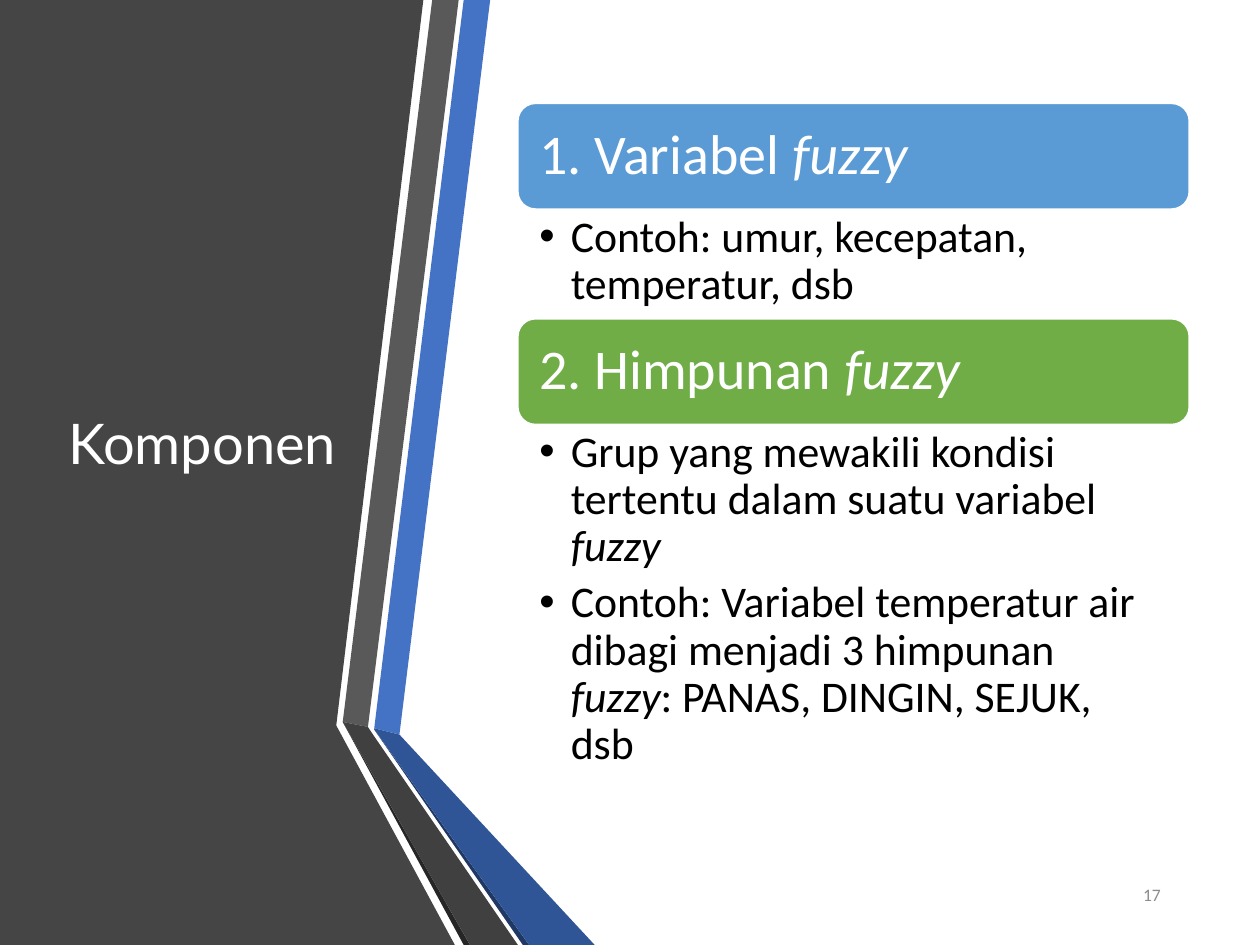
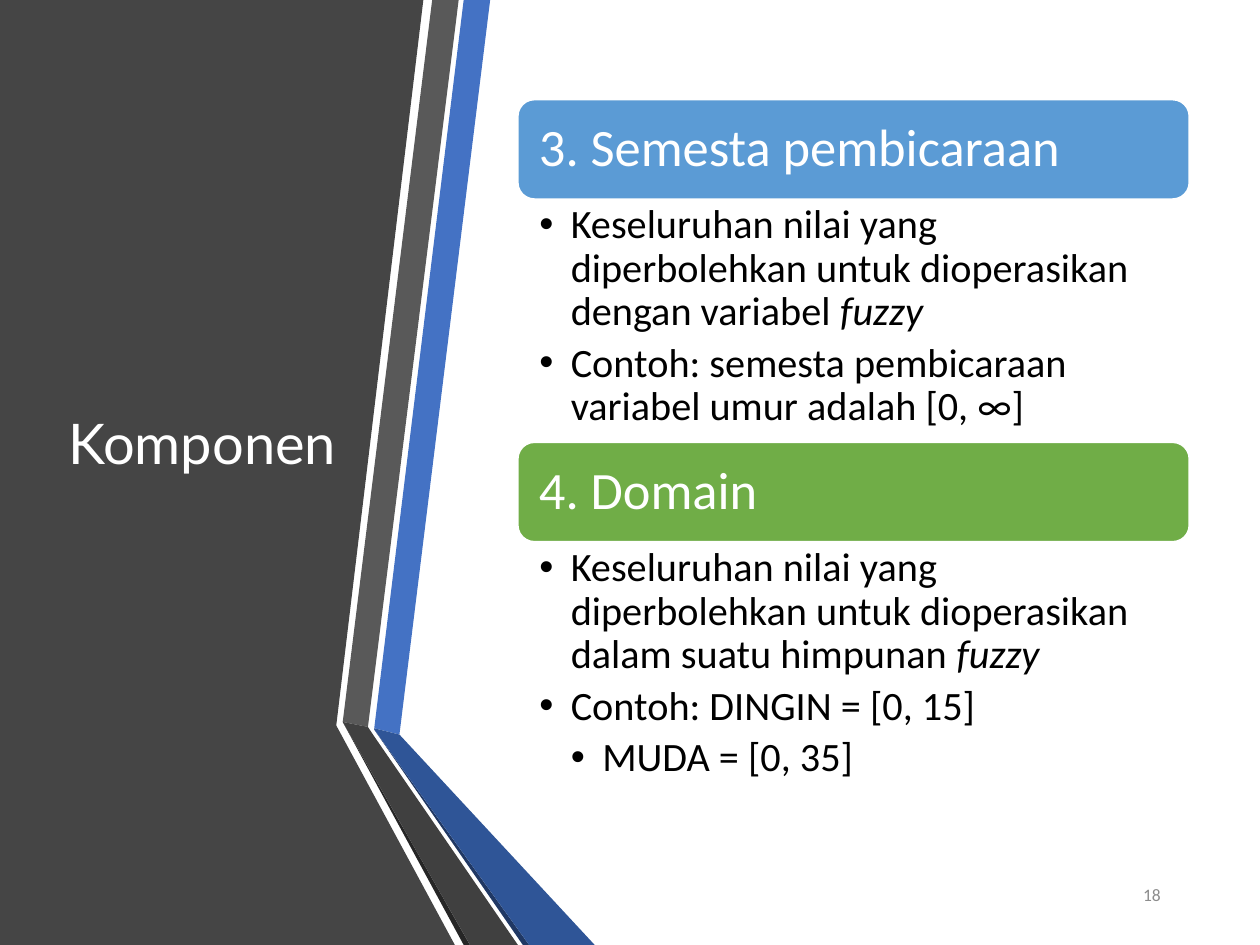
from lxml.etree import SubElement
from pptx import Presentation
from pptx.dml.color import RGBColor
from pptx.enum.shapes import MSO_SHAPE
from pptx.enum.text import MSO_ANCHOR, MSO_AUTO_SIZE, PP_ALIGN
from pptx.oxml.ns import qn
from pptx.util import Inches, Pt

WHITE = RGBColor(0xFF, 0xFF, 0xFF)
BLACK = RGBColor(0, 0, 0)
GRAY = RGBColor(0x8C, 0x8C, 0x8C)
SKY = RGBColor(0x5B, 0x9B, 0xD5)
GREEN = RGBColor(0x70, 0xAD, 0x47)
COAL = RGBColor(0x45, 0x45, 0x45)
BLUE = RGBColor(0x44, 0x72, 0xC4)
STEEL = RGBColor(0x59, 0x59, 0x59)
INK = RGBColor(0x26, 0x26, 0x26)
NAVY = RGBColor(0x20, 0x38, 0x64)
DEEP = RGBColor(0x2F, 0x55, 0x97)
DARK = RGBColor(0x40, 0x40, 0x40)

LEFT, WIDTH = 4.11, 5.33

# Points are in hundredths of an inch.
BANDS = [
    (COAL, [(264, 0), (336, 0), (267, 575), (267, 576), (361, 750), (0, 750), (0, 0)]),
    (BLUE, [(297, 578), (317, 583), (389, 0), (368, 0)]),
    (STEEL, [(364, 0), (343, 0), (272, 573), (292, 577)]),
    (INK, [(272, 573), (368, 750), (373, 750)]),
    (NAVY, [(297, 579), (415, 750), (420, 750)]),
    (DEEP, [(297, 579), (420, 750), (472, 750), (317, 583), (297, 578)]),
    (DARK, [(411, 750), (296, 583), (292, 577), (272, 573), (373, 750)]),
]

PAGES = [
    {"num": "17", "head": 32, "size": 25, "high": 0.84, "right": 0.25, "parts": [
        (0.82, 0.87, "1. Variabel *fuzzy*",
         [(0, "Contoh: umur, kecepatan, temperatur, dsb")]),
        (2.53, 2.9, "2. Himpunan *fuzzy*",
         [(0, "Grup yang mewakili kondisi tertentu dalam suatu variabel *fuzzy*"),
          (0, "Contoh: Variabel temperatur air dibagi menjadi 3 himpunan "
              "*fuzzy*: PANAS, DINGIN, SEJUK, dsb")]),
    ]},
    {"num": "18", "head": 30, "size": 23, "high": 0.79, "right": 0.23, "parts": [
        (0.79, 1.94, "3. Semesta pembicaraan",
         [(0, "Keseluruhan nilai yang diperbolehkan untuk dioperasikan "
              "dengan variabel *fuzzy*"),
          (0, "Contoh: semesta pembicaraan variabel umur adalah [0, ∞]")]),
        (3.51, 2, "4. Domain",
         [(0, "Keseluruhan nilai yang diperbolehkan untuk dioperasikan "
              "dalam suatu himpunan *fuzzy*"),
          (0, "Contoh: DINGIN = [0, 15]"),
          (1, "MUDA = [0, 35]")]),
    ]},
]


def write(shape, rows, size, color, font="Calibri", align=PP_ALIGN.LEFT,
          anchor=MSO_ANCHOR.MIDDLE, pad=(0.1, 0.05, 0.1, 0.05),
          space=0.9, after=0, bullet=False):
    frame = shape.text_frame
    frame.word_wrap = True
    frame.auto_size = MSO_AUTO_SIZE.NONE
    frame.vertical_anchor = anchor
    (frame.margin_left, frame.margin_top,
     frame.margin_right, frame.margin_bottom) = map(Inches, pad)
    for i, (level, text) in enumerate(rows):
        para = frame.add_paragraph() if i else frame.paragraphs[0]
        para.level = level
        para.alignment = align
        para.line_spacing = space
        para.space_before = Pt(0)
        para.space_after = Pt(after)
        if bullet:
            props = para._p.get_or_add_pPr()
            props.set("marL", str(Inches(0.25 * (level + 1))))
            props.set("indent", str(Inches(-0.25)))
            SubElement(props, qn("a:buFont")).set("typeface", "Arial")
            SubElement(props, qn("a:buChar")).set("char", "•")
        for j, piece in enumerate(text.split("*")):
            if piece:
                run = para.add_run()
                run.text = piece
                run.font.name = font
                run.font.size = Pt(size)
                run.font.color.rgb = color
                run.font.italic = j % 2 == 1


def place(shape, *box):
    shape.left, shape.top, shape.width, shape.height = map(Inches, box)


deck = Presentation()
deck.slide_width = Inches(10)
deck.slide_height = Inches(7.5)

for page in PAGES:
    slide = deck.slides.add_slide(deck.slide_layouts[3])
    shapes = slide.shapes
    title, *lists = slide.placeholders

    for color, points in BANDS:
        pen = shapes.build_freeform(*points[0], scale=Inches(0.01))
        pen.add_line_segments(points[1:], close=True)
        band = pen.convert_to_shape()
        band.shadow.inherit = False
        band.fill.solid()
        band.fill.fore_color.rgb = color
        band.line.fill.background()

    shapes.element.append(title.element)
    place(title, 0.44, 0.75, 2.53, 5.58)
    write(title, [(0, "Komponen")], 32, WHITE, font="Lato")

    label = shapes.add_textbox(Inches(8.42), Inches(6.9), Inches(0.89), Inches(0.4))
    write(label, [(0, page["num"])], 10, GRAY, align=PP_ALIGN.RIGHT, space=1)

    for part, body, color in zip(page["parts"], lists, (SKY, GREEN)):
        top, tall, head, rows = part
        card = shapes.add_shape(MSO_SHAPE.ROUNDED_RECTANGLE, Inches(LEFT),
                                Inches(top), Inches(WIDTH), Inches(page["high"]))
        card.shadow.inherit = False
        card.fill.solid()
        card.fill.fore_color.rgb = color
        card.line.color.rgb = WHITE
        card.line.width = Pt(1)
        write(card, [(0, head)], page["head"], WHITE, pad=(0.13, 0.13, 0.13, 0.13))

        place(body, LEFT, top + page["high"], WIDTH, tall)
        write(body, rows, page["size"], BLACK, anchor=MSO_ANCHOR.TOP,
              pad=(0.17, 0.04, page["right"], 0.04),
              after=page["size"] / 5, bullet=True)

deck.save("out.pptx")
